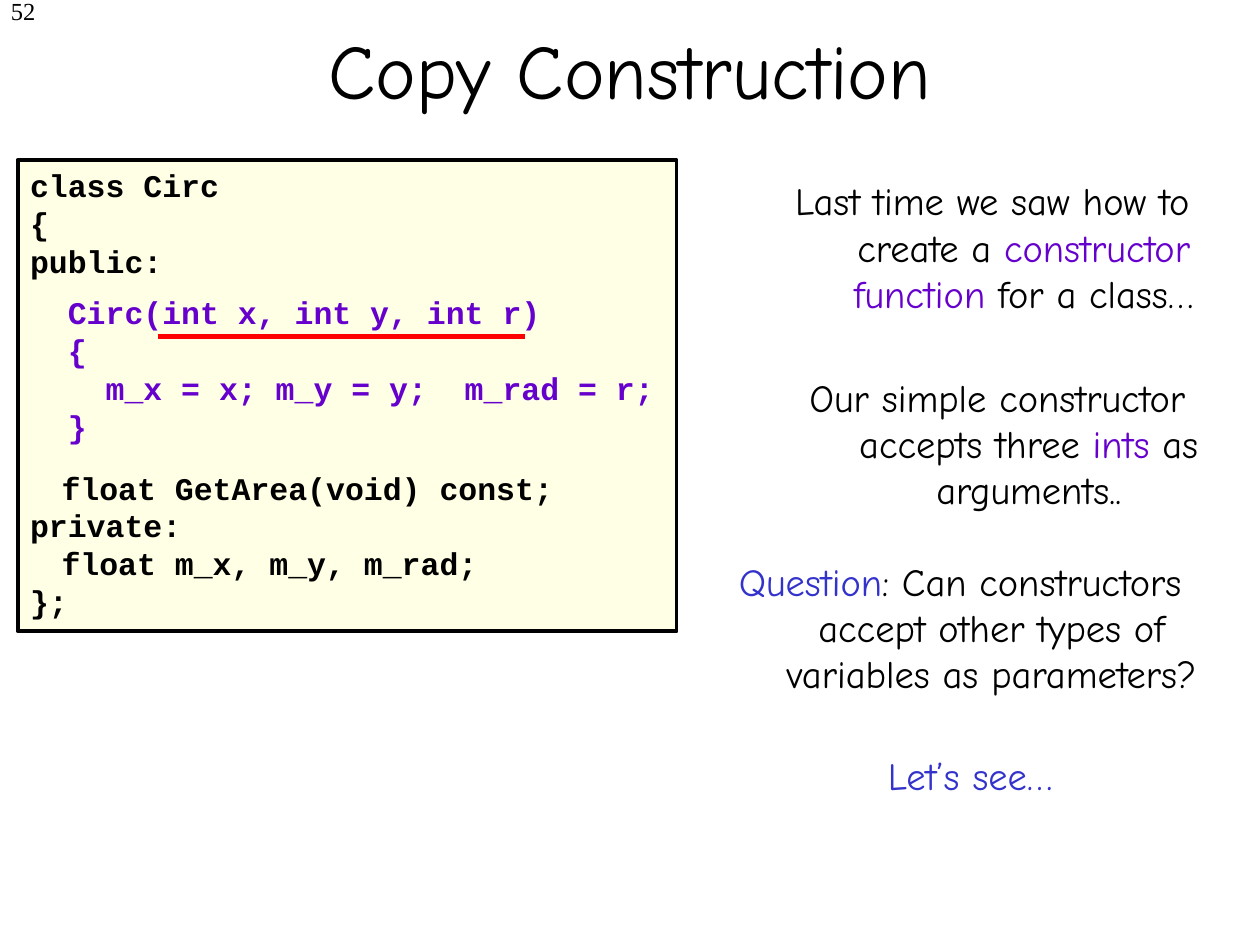
from dataclasses import dataclass

from lxml import etree
from pptx import Presentation
from pptx import util as u
from pptx.dml.color import RGBColor
from pptx.enum import shapes, text
from pptx.oxml.ns import qn


@dataclass(frozen=True)
class Theme:
    black: str = "000000"
    purple: str = "6600CC"
    blue: str = "3333CC"
    red: str = "FF0000"
    cream: str = "FFFFE5"
    hand: str = "Comic Neue"
    mono: str = "Courier New"
    serif: str = "Times New Roman"
    head: int = 44
    note: int = 22
    code: int = 18
    page: int = 14


class Deck:
    """Holds the theme and the current slide."""

    def __init__(self, theme):
        self.theme = theme
        self.pres = Presentation()
        self.pres.slide_width = u.Inches(10)
        self.pres.slide_height = u.Inches(7.5)
        self.slide = self.pres.slides.add_slide(self.pres.slide_layouts[5])

    def add_run(self, para, words, font, size, color, bold=False):
        run = para.add_run()
        run.text = words
        run.font.name = font
        run.font.size = u.Pt(size)
        run.font.bold = bold
        run.font.color.rgb = RGBColor.from_string(color)

    def add_box(self, *place):
        box = self.slide.shapes.add_textbox(*map(u.Inches, place))
        box.text_frame.word_wrap = True
        return box

    def add_title(self, words):
        t = self.theme
        title = self.slide.shapes.title
        title.left, title.top = u.Inches(0.75), u.Inches(-0.08)
        title.width, title.height = u.Inches(8.5), u.Inches(1.25)
        frame = title.text_frame
        frame.auto_size = text.MSO_AUTO_SIZE.NONE
        frame.vertical_anchor = text.MSO_ANCHOR.MIDDLE
        para = frame.paragraphs[0]
        para.alignment = text.PP_ALIGN.CENTER
        self.add_run(para, words, t.hand, t.head, t.black)

    def add_page(self, words):
        t = self.theme
        frame = self.add_box(0, -0.08, 0.38, 0.5).text_frame
        frame.margin_left = 0
        para = frame.paragraphs[0]
        para.alignment = text.PP_ALIGN.RIGHT
        self.add_run(para, words, t.serif, t.page, t.black)

    def add_note(self, place, runs):
        """Add a centred note with a hanging indent; runs are (words, color)."""
        t = self.theme
        frame = self.add_box(*place).text_frame
        frame.auto_size = text.MSO_AUTO_SIZE.SHAPE_TO_FIT_TEXT
        para = frame.paragraphs[0]
        para.alignment = text.PP_ALIGN.CENTER
        props = para._p.get_or_add_pPr()
        props.set("marL", str(u.Inches(0.5)))
        props.set("indent", str(u.Inches(-0.5)))
        for words, color in runs:
            self.add_run(para, words, t.hand, t.note, color)

    def add_code(self, shape, lines, color, gaps=None):
        """Fill a shape with code; gaps maps a line to the points above it."""
        t = self.theme
        frame = shape.text_frame
        frame.vertical_anchor = text.MSO_ANCHOR.TOP
        for i, line in enumerate(lines):
            para = frame.add_paragraph() if i else frame.paragraphs[0]
            para.alignment = text.PP_ALIGN.LEFT
            tabs = etree.SubElement(para._p.get_or_add_pPr(), qn("a:tabLst"))
            etree.SubElement(tabs, qn("a:tab"), pos=str(u.Inches(0.25)), algn="l")
            if gaps and line in gaps:
                para.space_before = u.Pt(gaps[line])
            self.add_run(para, line, t.mono, t.code, color, True)

    def add_panel(self, *place):
        t = self.theme
        panel = self.slide.shapes.add_shape(
            shapes.MSO_SHAPE.RECTANGLE, *map(u.Inches, place))
        panel.shadow.inherit = False
        panel.fill.solid()
        panel.fill.fore_color.rgb = RGBColor.from_string(t.cream)
        panel.line.color.rgb = RGBColor.from_string(t.black)
        panel.line.width = u.Pt(2.25)
        return panel

    def add_line(self, *ends):
        line = self.slide.shapes.add_connector(
            shapes.MSO_CONNECTOR.STRAIGHT, *map(u.Inches, ends))
        line.line.color.rgb = RGBColor.from_string(self.theme.red)
        line.line.width = u.Pt(3)
        etree.SubElement(line._element.spPr, qn("a:effectLst"))


def main():
    t = Theme()
    deck = Deck(t)
    deck.add_page("52")
    deck.add_title("Copy Construction")

    area = "\tfloat GetArea(void) const;"
    deck.add_code(
        deck.add_panel(0.14, 1.27, 5.23, 3.74),
        ["class Circ", "{", "public:", area,
         "private:", "\tfloat m_x, m_y, m_rad;", "};"],
        t.black, {area: 108})
    deck.add_code(
        deck.add_box(0.29, 2.28, 5, 1.3),
        [" Circ(int x, int y, int r)", " {",
         "   m_x = x; m_y = y;  m_rad = r;", " }"],
        t.purple)
    deck.add_line(1.25, 2.67, 4.17, 2.67)

    notes = [
        ((5.96, 1.36, 3.83, 1.2),
         [("Last time we saw how to create a ", t.black),
          ("constructor function", t.purple), (" for a class…", t.black)]),
        ((6, 2.92, 3.83, 1.2),
         [("Our simple constructor accepts three ", t.black),
          ("ints", t.purple), (" as arguments..", t.black)]),
        ((5.41, 4.38, 4.42, 1.2),
         [("Question", t.blue),
          (": Can constructors accept other types of variables"
           " as parameters?", t.black)]),
        ((5.58, 5.92, 4.24, 0.47), [("Let’s see…", t.blue)]),
    ]
    for place, runs in notes:
        deck.add_note(place, runs)
    deck.pres.save("out.pptx")


if __name__ == "__main__":
    main()
